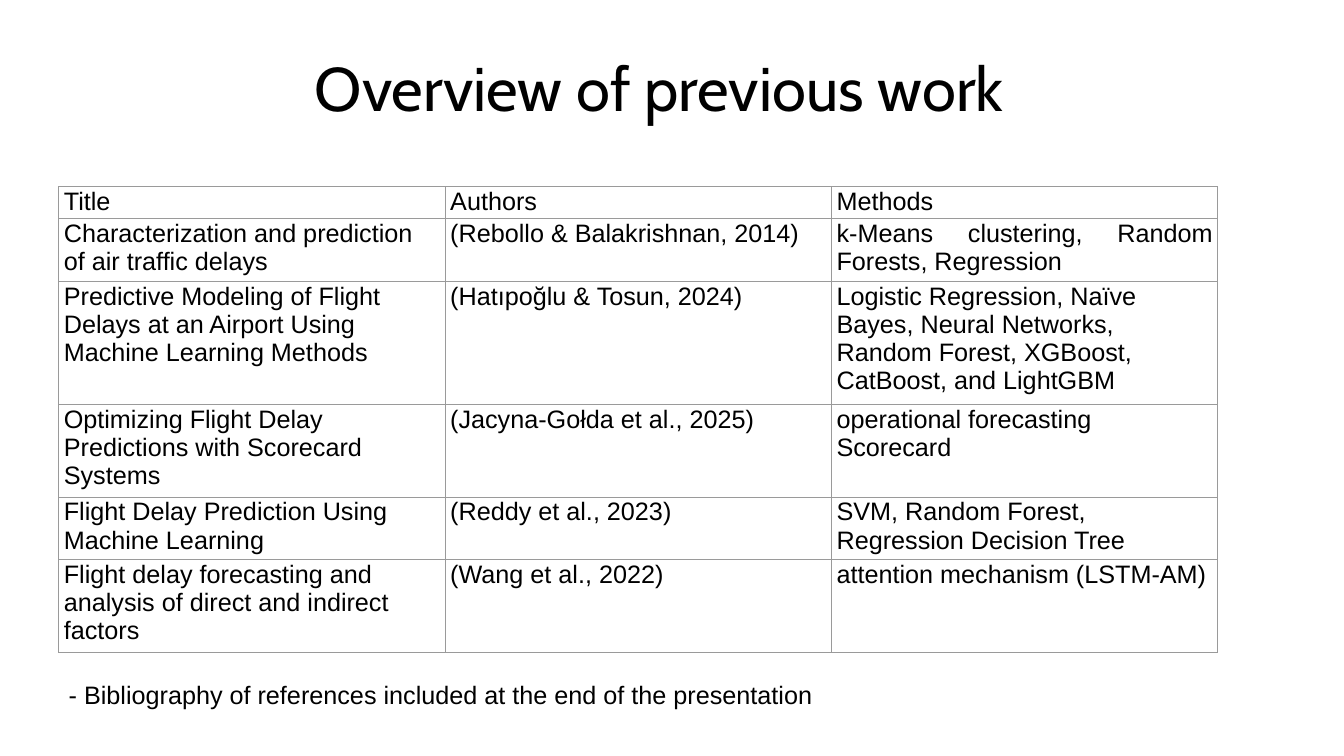
from dataclasses import dataclass

from lxml import etree
from pptx import Presentation
from pptx.dml.color import RGBColor
from pptx.enum.text import MSO_ANCHOR, PP_ALIGN
from pptx.oxml.ns import qn
from pptx.util import Inches, Pt

LEFT, CENTER, JUSTIFY = PP_ALIGN.LEFT, PP_ALIGN.CENTER, PP_ALIGN.JUSTIFY
TOP, MIDDLE = MSO_ANCHOR.TOP, MSO_ANCHOR.MIDDLE

COLORS = {"text": "000000", "page": "FFFFFF", "border": "9A9A9A"}

# The page is a grid of 160 columns by 90 rows of square units.
UNIT = Inches(1) / 12
PAGE_COLUMNS, PAGE_ROWS = 160, 90
TABLE_LEFT, TABLE_TOP, COLUMN_WIDTH = 7, 22.2, 46
LINE_HEIGHT, ROW_PADDING = 3.36, 0.24


@dataclass(frozen=True)
class Study:
    title: str
    authors: str
    methods: str
    lines: int
    alignments: tuple = (LEFT, LEFT, LEFT)


STUDIES = [
    Study("Title", "Authors", "Methods", 1, (JUSTIFY, JUSTIFY, JUSTIFY)),
    Study("Characterization and prediction of air traffic delays",
          "(Rebollo & Balakrishnan, 2014)",
          "k-Means clustering, Random Forests, Regression",
          2, (LEFT, LEFT, JUSTIFY)),
    Study("Predictive Modeling of Flight Delays at an Airport Using Machine Learning Methods",
          "(Hatıpoğlu & Tosun, 2024)",
          "Logistic Regression, Naïve Bayes, Neural Networks, Random Forest, "
          "XGBoost, CatBoost, and LightGBM", 4),
    Study("Optimizing Flight Delay Predictions with Scorecard Systems",
          "(Jacyna-Gołda et al., 2025)",
          "operational forecasting Scorecard", 3),
    Study("Flight Delay Prediction Using Machine Learning",
          "(Reddy et al., 2023)",
          "SVM, Random Forest, Regression Decision Tree", 2),
    Study("Flight delay forecasting and analysis of direct and indirect factors",
          "(Wang et al., 2022)",
          "attention mechanism (LSTM-AM)", 3),
]


def grid(units: float) -> int:
    """Turn grid units into a length."""
    return round(units * UNIT)


def write(frame, text: str, *, size: int = 18, font: str = "Arial",
          align=LEFT, spacing: float = 1.0) -> None:
    frame.word_wrap = True
    para = frame.paragraphs[0]
    para.alignment = align
    para.line_spacing = spacing
    span = para.add_run()
    span.text = text
    span.font.size = Pt(size)
    span.font.name = font
    span.font.color.rgb = RGBColor.from_string(COLORS["text"])


def add_text(page, text: str, left: float, top: float, width: float,
             height: float, anchor=TOP, **text_format) -> None:
    box = page.shapes.add_textbox(*map(grid, (left, top, width, height)))
    box.text_frame.vertical_anchor = anchor
    write(box.text_frame, text, **text_format)


def add_borders(cell) -> None:
    properties = cell._tc.get_or_add_tcPr()
    for side in ("a:lnL", "a:lnR", "a:lnT", "a:lnB"):
        line = etree.SubElement(properties, qn(side), w=str(Pt(0.75)))
        fill = etree.SubElement(line, qn("a:solidFill"))
        etree.SubElement(fill, qn("a:srgbClr"), val=COLORS["border"])


def fill_cell(cell, text: str, align) -> None:
    cell.margin_left = cell.margin_right = Inches(0.05)
    cell.margin_top = cell.margin_bottom = Inches(0.01)
    add_borders(cell)
    cell.fill.solid()
    cell.fill.fore_color.rgb = RGBColor.from_string(COLORS["page"])
    write(cell.text_frame, text, align=align)


def add_studies(page, studies: list[Study]) -> None:
    heights = [study.lines * LINE_HEIGHT + ROW_PADDING for study in studies]
    table = page.shapes.add_table(
        len(studies), 3, grid(TABLE_LEFT), grid(TABLE_TOP),
        grid(3 * COLUMN_WIDTH), grid(sum(heights))).table
    table.first_row = table.horz_banding = False
    for row, study, height in zip(table.rows, studies, heights):
        row.height = grid(height)
        texts = (study.title, study.authors, study.methods)
        for cell, text, align in zip(row.cells, texts, study.alignments):
            fill_cell(cell, text, align)


def main() -> None:
    deck = Presentation()
    deck.slide_width, deck.slide_height = grid(PAGE_COLUMNS), grid(PAGE_ROWS)
    page = deck.slides.add_slide(deck.slide_layouts[6])
    add_text(page, "Overview of previous work", 9.5, 2.2, 138, 17.4,
             anchor=MIDDLE, size=44, font="Cabin", align=CENTER, spacing=0.9)
    add_studies(page, STUDIES)
    add_text(page, "- Bibliography of references included at the end of the presentation",
             TABLE_LEFT, 80.3, 133.4, 4.8)
    deck.save("out.pptx")


if __name__ == "__main__":
    main()
